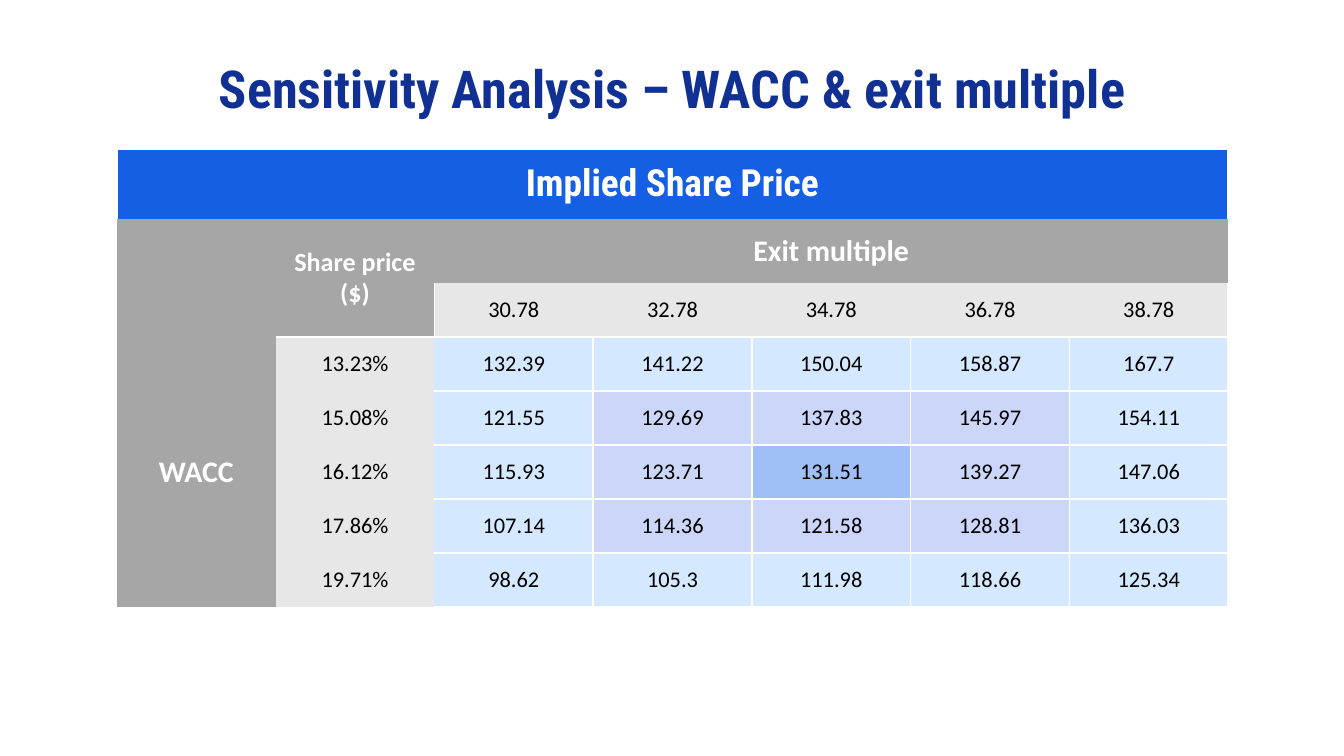
from dataclasses import dataclass

from lxml.etree import SubElement
from pptx import Presentation
from pptx.dml.color import RGBColor
from pptx.enum.text import MSO_ANCHOR, PP_ALIGN
from pptx.oxml.ns import qn
from pptx.util import Cm, Pt


@dataclass(frozen=True)
class Theme:
    heading: str = "Roboto Condensed"
    body: str = "Calibri"
    navy: str = "103193"
    blue: str = "155FE5"
    gray: str = "A6A6A6"
    light: str = "E7E7E7"
    white: str = "FFFFFF"
    black: str = "000000"
    rings: tuple = ("A0BFF6", "CBD6F9", "D4E8FF")  # base case outwards
    title_size: int = 28
    banner_size: int = 20
    axis_size: int = 16
    corner_size: int = 14
    value_size: int = 12


T = Theme()

MULTIPLES = ["30.78", "32.78", "34.78", "36.78", "38.78"]
SHARE_PRICES = {
    "13.23%": ["132.39", "141.22", "150.04", "158.87", "167.7"],
    "15.08%": ["121.55", "129.69", "137.83", "145.97", "154.11"],
    "16.12%": ["115.93", "123.71", "131.51", "139.27", "147.06"],
    "17.86%": ["107.14", "114.36", "121.58", "128.81", "136.03"],
    "19.71%": ["98.62", "105.3", "111.98", "118.66", "125.34"],
}
ROW_HEIGHTS = [1.32, 1.21] + [1.02] * 6
COL_COUNT = 7


def write(tf, lines, font, size, color, bold):
    for i, line in enumerate(lines):
        p = tf.paragraphs[0] if i == 0 else tf.add_paragraph()
        p.alignment = PP_ALIGN.CENTER
        r = p.add_run()
        r.text = line
        r.font.name, r.font.size, r.font.bold = font, Pt(size), bold
        r.font.color.rgb = RGBColor.from_string(color)


def set_borders(cell, sides):
    """Draw white lines on the named sides and none on the others."""
    tc_pr = cell._tc.get_or_add_tcPr()
    for side in "LRTB":
        ln = SubElement(tc_pr, qn(f"a:ln{side}"), w=str(Pt(1)))
        if side in sides:
            fill = SubElement(ln, qn("a:solidFill"))
            SubElement(fill, qn("a:srgbClr"), val=T.white)
        else:
            SubElement(ln, qn("a:noFill"))


def style_cell(cell, fill, sides=""):
    set_borders(cell, sides)
    cell.fill.solid()
    cell.fill.fore_color.rgb = RGBColor.from_string(fill)
    cell.vertical_anchor = MSO_ANCHOR.MIDDLE
    cell.margin_top = cell.margin_bottom = 0


def label(cell, *lines, size=T.value_size, font=T.body, color=T.white, bold=True):
    write(cell.text_frame, lines, font, size, color, bold)


def add_title(s, left, top, width, height):
    tf = s.shapes.add_textbox(Cm(left), Cm(top), Cm(width), Cm(height)).text_frame
    tf.word_wrap = True
    tf.vertical_anchor = MSO_ANCHOR.MIDDLE
    tf.margin_top = tf.margin_bottom = 0
    write(tf, ["Sensitivity Analysis – WACC & exit multiple"],
          T.heading, T.title_size, T.navy, True)


def add_sensitivity_table(s, left, top, width):
    tbl = s.shapes.add_table(len(ROW_HEIGHTS), COL_COUNT, Cm(left), Cm(top),
                             Cm(width), Cm(sum(ROW_HEIGHTS))).table
    tbl.first_row = tbl.horz_banding = False
    for col in tbl.columns:
        col.width = Cm(width / COL_COUNT)
    for row, height in zip(tbl.rows, ROW_HEIGHTS):
        row.height = Cm(height)

    # Banner and gray axis areas
    for c in range(COL_COUNT):
        style_cell(tbl.cell(0, c), T.blue, "LRT")
        style_cell(tbl.cell(1, c), T.gray)
    for r in range(2, len(ROW_HEIGHTS)):
        style_cell(tbl.cell(r, 0), T.gray)
    style_cell(tbl.cell(2, 1), T.gray, "RB")

    # Merged headings
    for first, last in (((0, 0), (0, 6)), ((1, 1), (2, 1)),
                        ((1, 2), (1, 6)), ((3, 0), (7, 0))):
        tbl.cell(*first).merge(tbl.cell(*last))
    label(tbl.cell(0, 0), "Implied Share Price", size=T.banner_size, font=T.heading)
    label(tbl.cell(1, 1), "Share price", "($)", size=T.corner_size)
    label(tbl.cell(1, 2), "Exit multiple", size=T.axis_size)
    label(tbl.cell(3, 0), "WACC", size=T.axis_size)

    # Exit multiples across the top
    for c, multiple in enumerate(MULTIPLES):
        cell = tbl.cell(2, c + 2)
        style_cell(cell, T.light, {0: "LB", 4: "RB"}.get(c, "B"))
        label(cell, multiple, color=T.black, bold=False)

    # WACC rates and share prices, shaded by distance from the base case
    for r, (rate, prices) in enumerate(SHARE_PRICES.items()):
        cell = tbl.cell(r + 3, 1)
        style_cell(cell, T.light, "T" if r == 0 else "")
        label(cell, rate, color=T.black, bold=False)
        for c, price in enumerate(prices):
            cell = tbl.cell(r + 3, c + 2)
            ring = max(abs(r - 2), abs(c - 2))
            style_cell(cell, T.rings[ring], "RTB" if c == 0 else "LRTB")
            label(cell, price, color=T.black, bold=False)


def main():
    prs = Presentation()
    prs.slide_width, prs.slide_height = Cm(25.4), Cm(14.29)
    s = prs.slides.add_slide(prs.slide_layouts[6])
    add_title(s, 1.27, 1.14, 22.86, 1.04)
    add_sensitivity_table(s, 2.21, 2.82, 21)
    prs.save("out.pptx")


if __name__ == "__main__":
    main()
